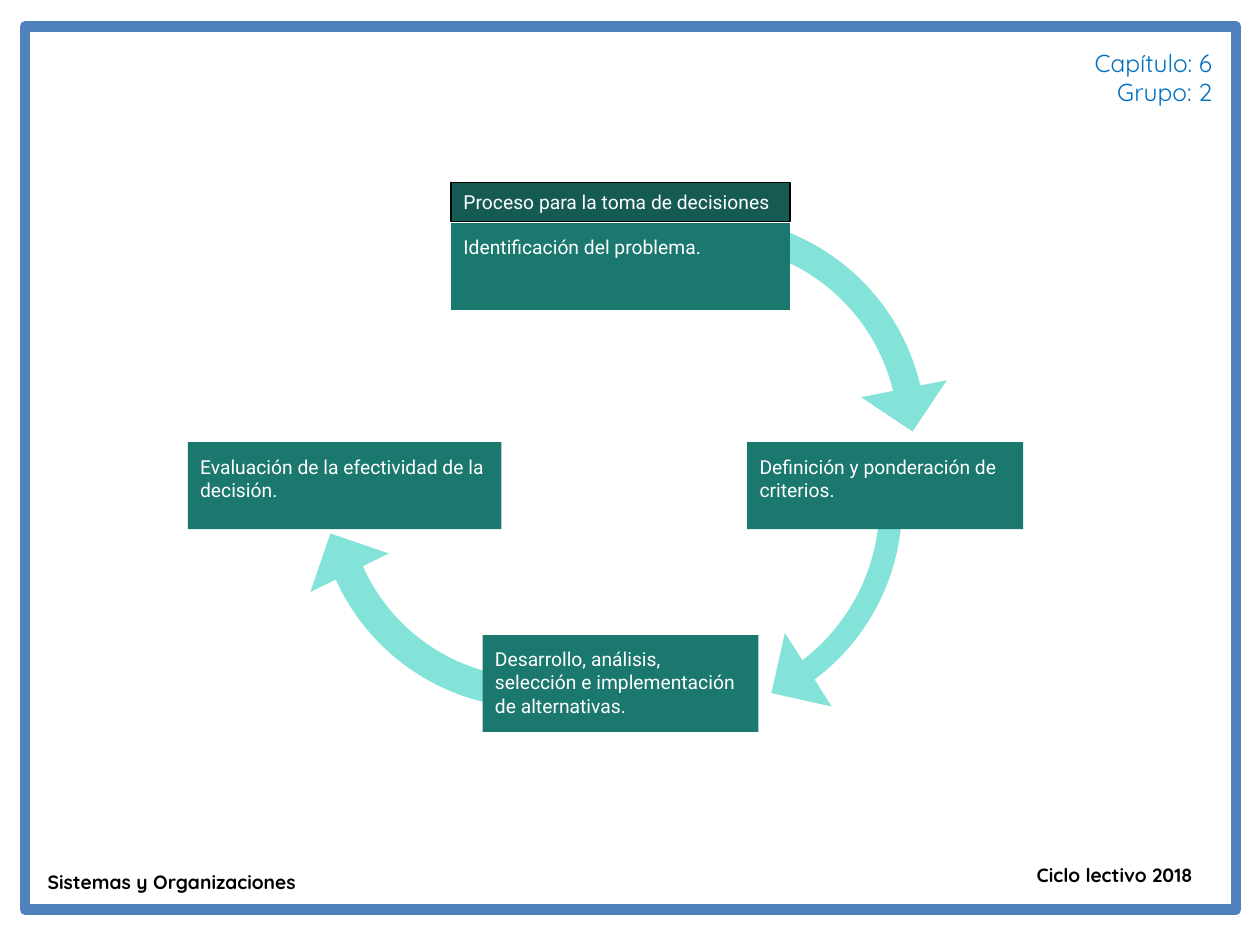
from pptx import Presentation
from pptx.dml.color import RGBColor
from pptx.enum.shapes import MSO_SHAPE
from pptx.enum.text import MSO_ANCHOR, MSO_AUTO_SIZE, PP_ALIGN
from pptx.util import Inches, Pt

RECT = MSO_SHAPE.RECTANGLE
ARC = MSO_SHAPE.BLOCK_ARC
HEAD = MSO_SHAPE.RIGHT_TRIANGLE
TOP, MIDDLE = MSO_ANCHOR.TOP, MSO_ANCHOR.MIDDLE
LEFT, RIGHT = PP_ALIGN.LEFT, PP_ALIGN.RIGHT
GROW = MSO_AUTO_SIZE.SHAPE_TO_FIT_TEXT

BLACK = RGBColor(0x00, 0x00, 0x00)
WHITE = RGBColor(0xFF, 0xFF, 0xFF)
BLUE = RGBColor(0x00, 0x70, 0xC0)
FRAME = RGBColor(0x4F, 0x81, 0xBD)
TEAL = RGBColor(0x1B, 0x78, 0x6E)
DARK = RGBColor(0x15, 0x5B, 0x54)
MINT = RGBColor(0x83, 0xE3, 0xD9)

RING = 3.47
TIP = 0.49


def write(shape, text, font="Roboto", size=11, color=WHITE, bold=False,
          align=LEFT, anchor=TOP, pad=0.1, wrap=True):
    """Put formatted text, one paragraph a line, into a shape."""
    frame = shape.text_frame
    frame.word_wrap = wrap
    frame.vertical_anchor = anchor
    frame.margin_left = frame.margin_right = Inches(0.1)
    frame.margin_top = frame.margin_bottom = Inches(pad)
    frame.text = text
    for para in frame.paragraphs:
        para.alignment = align
        style = para.font
        style.name, style.size, style.bold = font, Pt(size), bold
        style.color.rgb = color


def add_form(slide, kind, left, top, width, height, fill=None, line=None,
             weight=0.75, turn=0):
    """Add a flat preset shape."""
    form = slide.shapes.add_shape(
        kind, Inches(left), Inches(top), Inches(width), Inches(height))
    form.shadow.inherit = False
    form.rotation = turn
    if fill is None:
        form.fill.background()
    else:
        form.fill.solid()
        form.fill.fore_color.rgb = fill
    if line is None:
        form.line.fill.background()
    else:
        form.line.color.rgb = line
        form.line.width = Pt(weight)
    return form


def add_arrow(slide, ring, start, end, band, turn, tip, lean):
    """Add a curved arrow whose arc runs clockwise between slide angles."""
    arc = add_form(slide, ARC, *ring, RING, RING, fill=MINT, turn=turn)
    for spot, angle in enumerate((start, end)):
        arc.adjustments[spot] = (angle - turn) % 360 * 0.6
    arc.adjustments[2] = band / RING
    add_form(slide, HEAD, *tip, TIP, TIP, fill=MINT, turn=lean)


def add_step(slide, text, left, top, width, height=0.69):
    """Add a teal box for one step of the process."""
    write(add_form(slide, RECT, left, top, width, height, fill=TEAL), text)


def add_label(slide, text, left, top, width, height, **style):
    """Add a text box that grows with its text."""
    label = slide.shapes.add_textbox(
        Inches(left), Inches(top), Inches(width), Inches(height))
    write(label, text, font="Quicksand", pad=0.05, **style)
    label.text_frame.auto_size = GROW


def main():
    """Build the slide and save it."""
    deck = Presentation()
    deck.slide_width, deck.slide_height = Inches(10), Inches(7.5)
    slide = deck.slides.add_slide(deck.slide_layouts[6])

    add_arrow(slide, (3.88, 1.72), -73, -12.8, 0.22, 303.8, (6.93, 2.84), 303.8)
    add_form(slide, RECT, 0.2, 0.21, 9.61, 7.01, line=FRAME, weight=6)
    add_label(slide, "Capítulo: 6\nGrupo: 2", 7.13, 0.33, 2.59, 0.57,
              size=14, color=BLUE, align=RIGHT)
    foot = dict(color=BLACK, bold=True, wrap=False)
    add_label(slide, "Sistemas y Organizaciones", 0.28, 6.86, 2.23, 0.29, **foot)
    add_label(slide, "Ciclo lectivo 2018", 8.13, 6.8, 1.5, 0.29, **foot)

    add_arrow(slide, (3.69, 2.27), 3.1, 58.4, 0.18, 20.1, (6.17, 5.07), 12.6)
    add_step(slide, "Identificación del problema.", 3.58, 1.77, 2.69)
    title = add_form(slide, RECT, 3.58, 1.45, 2.69, 0.31, fill=DARK, line=BLACK)
    write(title, "Proceso para la toma de decisiones", anchor=MIDDLE)

    add_arrow(slide, (2.51, 2.15), 66.8, 159.3, 0.24, 108.9, (2.53, 4.3), 108.9)
    add_step(slide, "Desarrollo, análisis, selección e implementación "
             "de alternativas.", 3.83, 5.04, 2.19, 0.77)
    add_step(slide, "Evaluación de la efectividad de la\ndecisión.",
             1.49, 3.51, 2.49)
    add_step(slide, "Definición y ponderación de criterios.", 5.93, 3.51, 2.19)

    deck.save("out.pptx")


if __name__ == "__main__":
    main()
